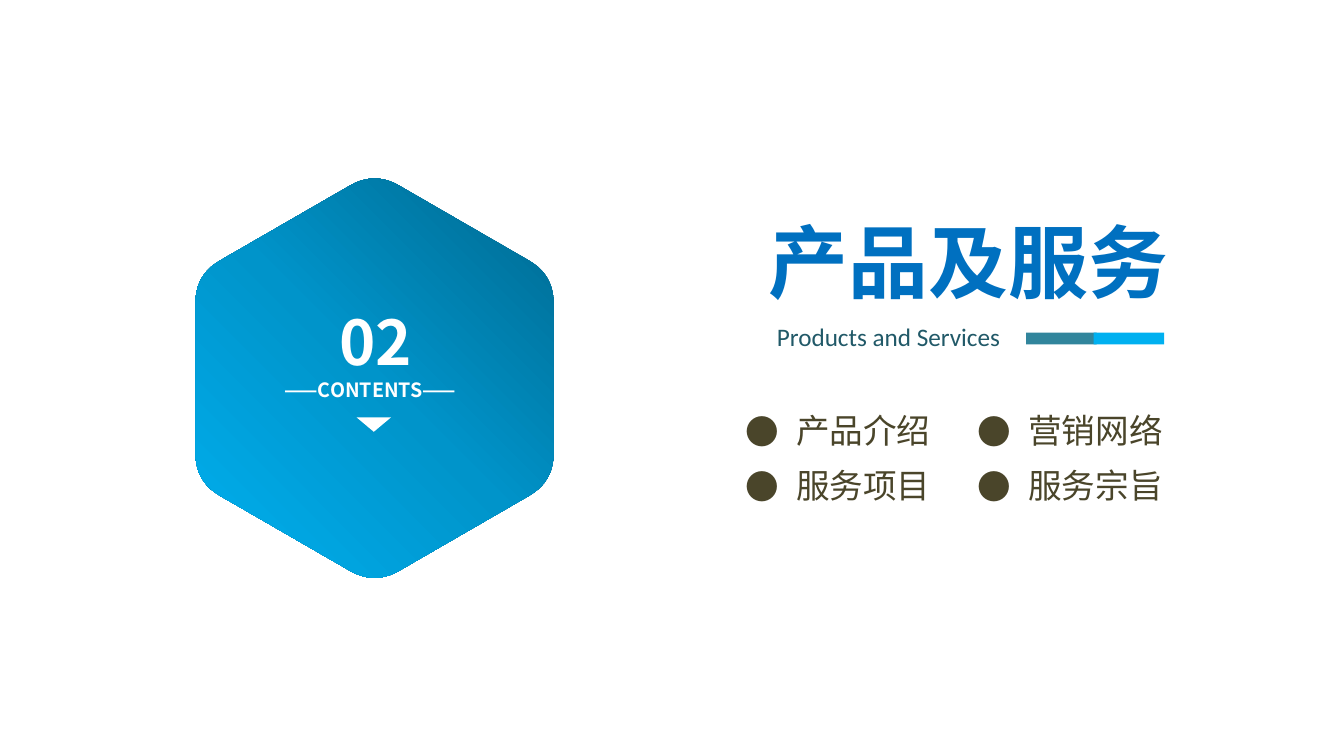
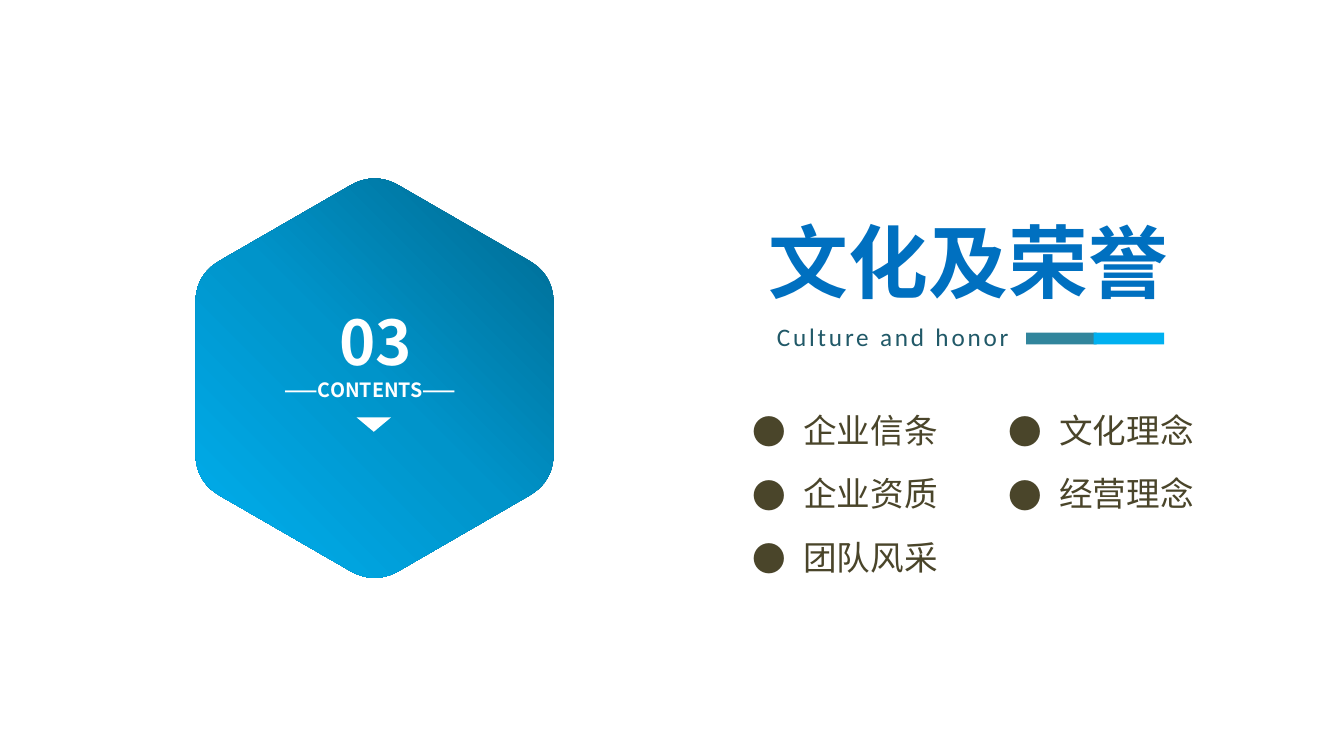
import math
from copy import deepcopy
from pptx import Presentation
from pptx.dml.color import RGBColor
from pptx.enum import shapes, text
from pptx.oxml.ns import qn
from pptx.util import Cm, Pt
from lxml import etree

COLORS = {
    "title": "0070C0", "subtitle": "215968", "body": "4A452A", "white": "FFFFFF",
    "teal": "31859C", "sky": "00B0F0", "deep": "00688E", "mid": "0094CA",
}
CJK, LATIN = "Noto Sans CJK SC", "Calibri"
TWO_CONTENT = 3


def rgb(name):
    return RGBColor.from_string(COLORS[name])


def write(p, content, size=24, color="body", font=CJK, bold=False, align=None, spacing=0):
    """Add one formatted run to paragraph p; spacing is letter spacing in points."""
    if align is not None:
        p.alignment = align
    r = p.add_run()
    r.text = content
    r.font.size, r.font.bold, r.font.name = Pt(size), bold, font
    r.font.color.rgb = rgb(color)
    rPr = r._r.get_or_add_rPr()
    etree.SubElement(rPr, qn("a:ea")).set("typeface", font)
    if spacing:
        rPr.set("spc", str(spacing * 100))


def add_bullet(p, indent=Cm(1.27)):
    pPr = p._p.get_or_add_pPr()
    pPr.set("marL", str(indent))
    pPr.set("indent", str(-indent))
    etree.SubElement(pPr, qn("a:buFont")).set("typeface", CJK)
    etree.SubElement(pPr, qn("a:buChar")).set("char", "●")


def rounded_hexagon(cx, cy, radius, cut, steps=10):
    """Return the outline points of an upright hexagon with rounded corners."""
    corners = [(cx + radius * math.sin(i * math.pi / 3),
                cy - radius * math.cos(i * math.pi / 3)) for i in range(6)]
    points, share = [], cut / radius
    for i, (x, y) in enumerate(corners):
        (x0, y0), (x1, y1) = corners[i - 1], corners[(i + 1) % 6]
        for k in range(steps + 1):
            t = k / steps
            a, b = share * (1 - t) ** 2, share * t ** 2
            points.append((Cm(x + a * (x0 - x) + b * (x1 - x)),
                           Cm(y + a * (y0 - y) + b * (y1 - y))))
    return points


class Deck:
    def __init__(self):
        self.prs = Presentation()
        self.prs.slide_width, self.prs.slide_height = Cm(33.87), Cm(19.05)
        self.s = None

    def new_slide(self):
        self.s = self.prs.slides.add_slide(self.prs.slide_layouts[TWO_CONTENT])

    def frame(self, sp, box, anchor=text.MSO_ANCHOR.TOP, wrap=True):
        """Place a text shape and return its text frame."""
        sp.left, sp.top, sp.width, sp.height = (Cm(v) for v in box)
        tf = sp.text_frame
        tf.word_wrap, tf.vertical_anchor = wrap, anchor
        tf.auto_size = text.MSO_AUTO_SIZE.NONE
        return tf

    def title(self, content):
        tf = self.frame(self.s.shapes.title, (18.59, 5.21, 11.63, 2.69),
                        text.MSO_ANCHOR.MIDDLE)
        write(tf.paragraphs[0], content, size=57, color="title", bold=True,
              align=text.PP_ALIGN.CENTER)

    def label(self, content, box, anchor=text.MSO_ANCHOR.MIDDLE, wrap=True, **style):
        sp = self.s.shapes.add_textbox(0, 0, 0, 0)
        write(self.frame(sp, box, anchor, wrap).paragraphs[0], content, **style)

    def bullets(self, index, items, box, gap):
        tf = self.frame(self.s.placeholders[index], box)
        for i, item in enumerate(items):
            p = tf.add_paragraph() if i else tf.paragraphs[0]
            p.space_before, p.space_after = Pt(0), Pt(gap)
            add_bullet(p)
            write(p, item)

    def shape(self, kind, box, color, rotation=0):
        sp = self.s.shapes.add_shape(kind, *(Cm(v) for v in box))
        sp.shadow.inherit = False
        sp.fill.solid()
        sp.fill.fore_color.rgb = rgb(color)
        sp.line.fill.background()
        sp.rotation = rotation

    def hexagon(self):
        start, *rest = rounded_hexagon(9.44, 9.53, 5.21, 0.71)
        builder = self.s.shapes.build_freeform(*start)
        builder.add_line_segments(rest, close=True)
        sp = builder.convert_to_shape()
        sp.shadow.inherit = False
        sp.line.fill.background()
        sp.fill.gradient()
        stops = sp._element.spPr.find(qn("a:gradFill")).find(qn("a:gsLst"))
        stops.insert(1, deepcopy(stops[0]))
        for stop, color, position in zip(sp.fill.gradient_stops,
                                         ("deep", "mid", "sky"), (0, 0.5, 1)):
            stop.color.rgb, stop.position = rgb(color), position
        sp.fill.gradient_angle = 225

    def badge(self, number):
        self.hexagon()
        style = dict(color="white", bold=True, align=text.PP_ALIGN.CENTER)
        self.label(number, (7.67, 7.52, 3.61, 2.13), size=44, **style)
        self.label("——CONTENTS——", (6.53, 9.4, 5.61, 0.86), size=14, **style)
        self.shape(shapes.MSO_SHAPE.ISOSCELES_TRIANGLE, (8.99, 10.52, 0.86, 0.36),
                   "white", rotation=180)

    def section(self, number, title, subtitle, columns, left, step, gap, spacing=0):
        """Build a section slide; step is the column pitch, gap the space between items."""
        self.new_slide()
        self.badge(number)
        self.title(title)
        self.label(subtitle, (19.33, 7.98, 6.5, 1.02), text.MSO_ANCHOR.TOP, wrap=False,
                   size=18, color="subtitle", font=LATIN, spacing=spacing)
        for i, color in enumerate(("teal", "sky")):
            self.shape(shapes.MSO_SHAPE.RECTANGLE, (25.86 + 1.7 * i, 8.38, 1.78, 0.3), color)
        for i, items in enumerate(columns):
            self.bullets(i + 1, items, (left + step * i, 10.2, 5.7, 5.2), gap)


def main():
    deck = Deck()
    deck.section("02", "产品及服务", "Products and Services",
                 [["产品介绍", "服务项目"], ["营销网络", "服务宗旨"]],
                 left=18.54, step=5.85, gap=10.5)
    deck.section("03", "文化及荣誉", "Culture and honor",
                 [["企业信条", "企业资质", "团队风采"], ["文化理念", "经营理念"]],
                 left=18.72, step=6.45, gap=16.5, spacing=2)
    deck.prs.save("out.pptx")


if __name__ == "__main__":
    main()
